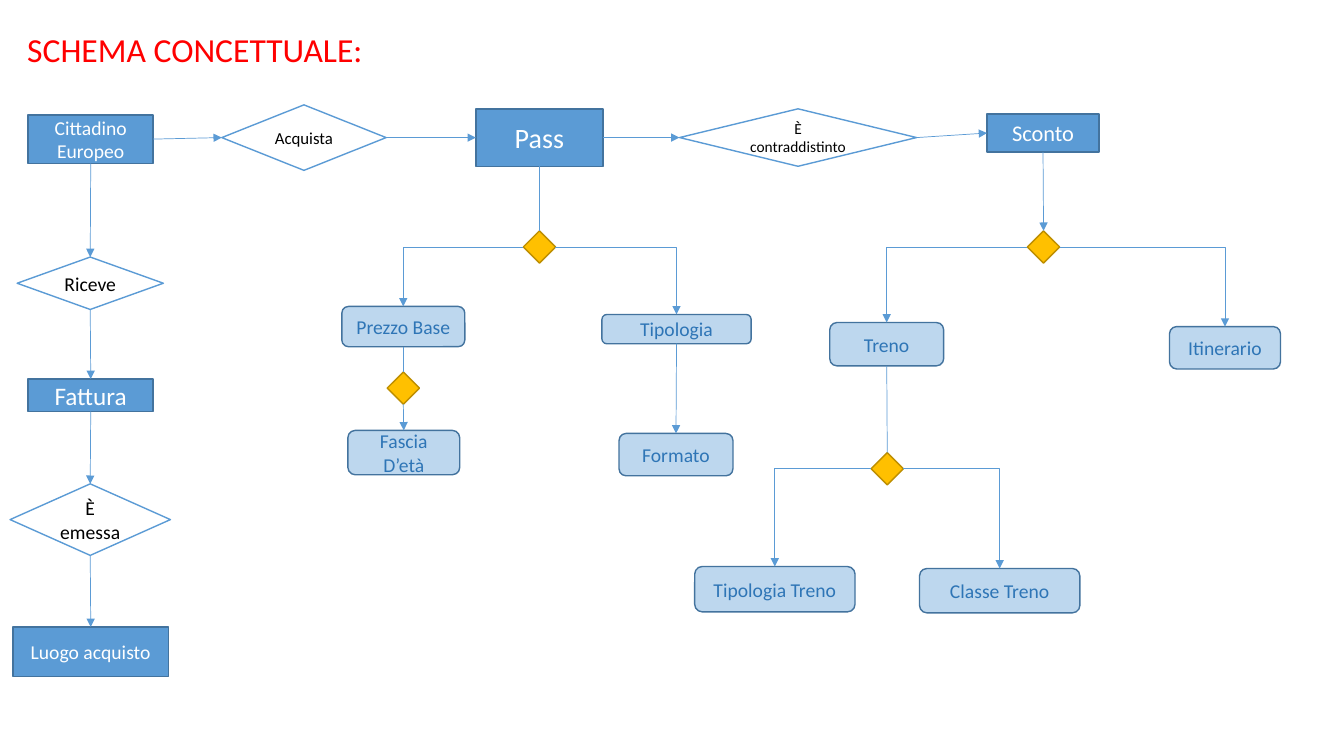
from dataclasses import dataclass

from lxml import etree
from pptx import Presentation
from pptx.dml.color import RGBColor
from pptx.enum import shapes, text
from pptx.oxml import ns
from pptx.util import Inches, Pt

TOP, LEFT, BOTTOM, RIGHT = range(4)


@dataclass(frozen=True)
class Theme:
    font: str = "Calibri"
    title: str = "FF0000"
    white: str = "FFFFFF"
    black: str = "000000"
    blue: str = "5B9BD5"
    border: str = "43739E"
    pale: str = "BDD7EE"
    label: str = "2E75B6"
    gold: str = "FFC000"
    gold_border: str = "BD8E00"
    title_size: int = 24
    huge: int = 20
    large: int = 18
    medium: int = 16
    body: int = 14
    small: int = 12
    tiny: int = 11
    outline: float = 1
    link: float = 0.5


T = Theme()


def rgb(value):
    return RGBColor.from_string(value)


def write(sp, words, *, size=T.body, color=T.black, align=text.PP_ALIGN.CENTER,
          anchor=text.MSO_ANCHOR.MIDDLE, inset=0.1):
    tf = sp.text_frame
    tf.word_wrap = True
    tf.auto_size = text.MSO_AUTO_SIZE.NONE
    tf.vertical_anchor = anchor
    tf.margin_left = tf.margin_right = Inches(inset)
    p = tf.paragraphs[0]
    p.alignment = align
    r = p.add_run()
    r.text = words
    r.font.name = T.font
    r.font.size = Pt(size)
    r.font.color.rgb = rgb(color)


def add_node(s, kind, box, fill, line):
    sp = s.shapes.add_shape(kind, *map(Inches, box))
    sp.shadow.inherit = False
    sp.fill.solid()
    sp.fill.fore_color.rgb = rgb(fill)
    sp.line.color.rgb = rgb(line)
    sp.line.width = Pt(T.outline)
    return sp


def add_entity(s, words, *box, size=T.body):
    sp = add_node(s, shapes.MSO_SHAPE.RECTANGLE, box, T.blue, T.border)
    write(sp, words, size=size, color=T.white)
    return sp


def add_relation(s, words, *box, size=T.body):
    sp = add_node(s, shapes.MSO_SHAPE.DIAMOND, box, T.white, T.blue)
    write(sp, words, size=size, inset=0.09)
    return sp


def add_attribute(s, words, *box):
    sp = add_node(s, shapes.MSO_SHAPE.ROUNDED_RECTANGLE, box, T.pale, T.border)
    write(sp, words, color=T.label)
    return sp


def add_branch(s, x, y, side=0.32):
    box = (x - side / 2, y - side / 2, side, side)
    return add_node(s, shapes.MSO_SHAPE.DIAMOND, box, T.gold, T.gold_border)


def side_point(sp, side):
    x = sp.left + {LEFT: 0, RIGHT: sp.width}.get(side, sp.width // 2)
    y = sp.top + {TOP: 0, BOTTOM: sp.height}.get(side, sp.height // 2)
    return x, y


def join(s, start, start_side, end, end_side, arrow=True, bent=False):
    kind = shapes.MSO_CONNECTOR.ELBOW if bent else shapes.MSO_CONNECTOR.STRAIGHT
    c = s.shapes.add_connector(kind, *side_point(start, start_side),
                               *side_point(end, end_side))
    c.begin_connect(start, start_side)
    c.end_connect(end, end_side)
    c.line.color.rgb = rgb(T.blue)
    c.line.width = Pt(T.link)
    props = c._element.spPr
    if bent:
        props.find(ns.qn("a:prstGeom")).set("prst", "bentConnector2")
    if arrow:
        etree.SubElement(props.find(ns.qn("a:ln")), ns.qn("a:tailEnd"), type="triangle")
    etree.SubElement(props, ns.qn("a:effectLst"))


def chain(s, nodes, start_side, end_side):
    for start, end in zip(nodes, nodes[1:]):
        join(s, start, start_side, end, end_side)


def fork(s, branch, left, right):
    join(s, branch, LEFT, left, TOP, bent=True)
    join(s, branch, RIGHT, right, TOP, bent=True)


def add_title(s, words):
    sp = s.shapes.title
    sp.left, sp.top, sp.width, sp.height = map(Inches, (0.17, 0.24, 5.98, 0.5))
    write(sp, words, size=T.title_size, color=T.title,
          align=text.PP_ALIGN.LEFT, anchor=text.MSO_ANCHOR.TOP)


def main():
    prs = Presentation()
    prs.slide_width, prs.slide_height = Inches(13.33), Inches(7.5)
    s = prs.slides.add_slide(prs.slide_layouts[5])
    add_title(s, "SCHEMA CONCETTUALE:")

    citizen = add_entity(s, "Cittadino Europeo", 0.28, 1.14, 1.24, 0.48)
    buys = add_relation(s, "Acquista", 2.2, 1.04, 1.63, 0.65, size=T.small)
    rail_pass = add_entity(s, "Pass", 4.72, 1.08, 1.26, 0.57, size=T.huge)
    marked = add_relation(s, "È contraddistinto", 6.74, 1.08, 2.35, 0.57, size=T.tiny)
    discount = add_entity(s, "Sconto", 9.79, 1.13, 1.11, 0.38, size=T.medium)
    chain(s, [citizen, buys, rail_pass, marked, discount], RIGHT, LEFT)

    receives = add_relation(s, "Riceve", 0.17, 2.55, 1.45, 0.52)
    invoice = add_entity(s, "Fattura", 0.28, 3.76, 1.24, 0.32, size=T.large)
    issued = add_relation(s, "È emessa", 0.1, 4.8, 1.59, 0.71)
    place = add_entity(s, "Luogo acquisto", 0.13, 6.22, 1.54, 0.49)
    chain(s, [citizen, receives, invoice, issued, place], BOTTOM, TOP)

    price = add_attribute(s, "Prezzo Base", 3.39, 3.04, 1.22, 0.4)
    age = add_attribute(s, "Fascia D’età", 3.45, 4.27, 1.11, 0.44)
    category = add_attribute(s, "Tipologia", 5.97, 3.12, 1.48, 0.29)
    layout = add_attribute(s, "Formato", 6.14, 4.3, 1.13, 0.42)
    train = add_attribute(s, "Treno", 8.23, 3.2, 1.13, 0.43)
    route = add_attribute(s, "Itinerario", 11.6, 3.24, 1.1, 0.42)
    train_type = add_attribute(s, "Tipologia Treno", 6.89, 5.62, 1.59, 0.45)
    train_class = add_attribute(s, "Classe Treno", 9.12, 5.64, 1.59, 0.44)

    pass_branch = add_branch(s, 5.35, 2.45)
    discount_branch = add_branch(s, 10.35, 2.45)
    price_branch = add_branch(s, 4, 3.85)
    train_branch = add_branch(s, 8.8, 4.65)

    join(s, rail_pass, BOTTOM, pass_branch, TOP, arrow=False)
    fork(s, pass_branch, price, category)
    join(s, price, BOTTOM, price_branch, TOP, arrow=False)
    join(s, price_branch, BOTTOM, age, TOP)
    join(s, category, BOTTOM, layout, TOP)
    join(s, discount, BOTTOM, discount_branch, TOP)
    fork(s, discount_branch, train, route)
    join(s, train, BOTTOM, train_branch, TOP, arrow=False)
    fork(s, train_branch, train_type, train_class)

    prs.save("out.pptx")


if __name__ == "__main__":
    main()
